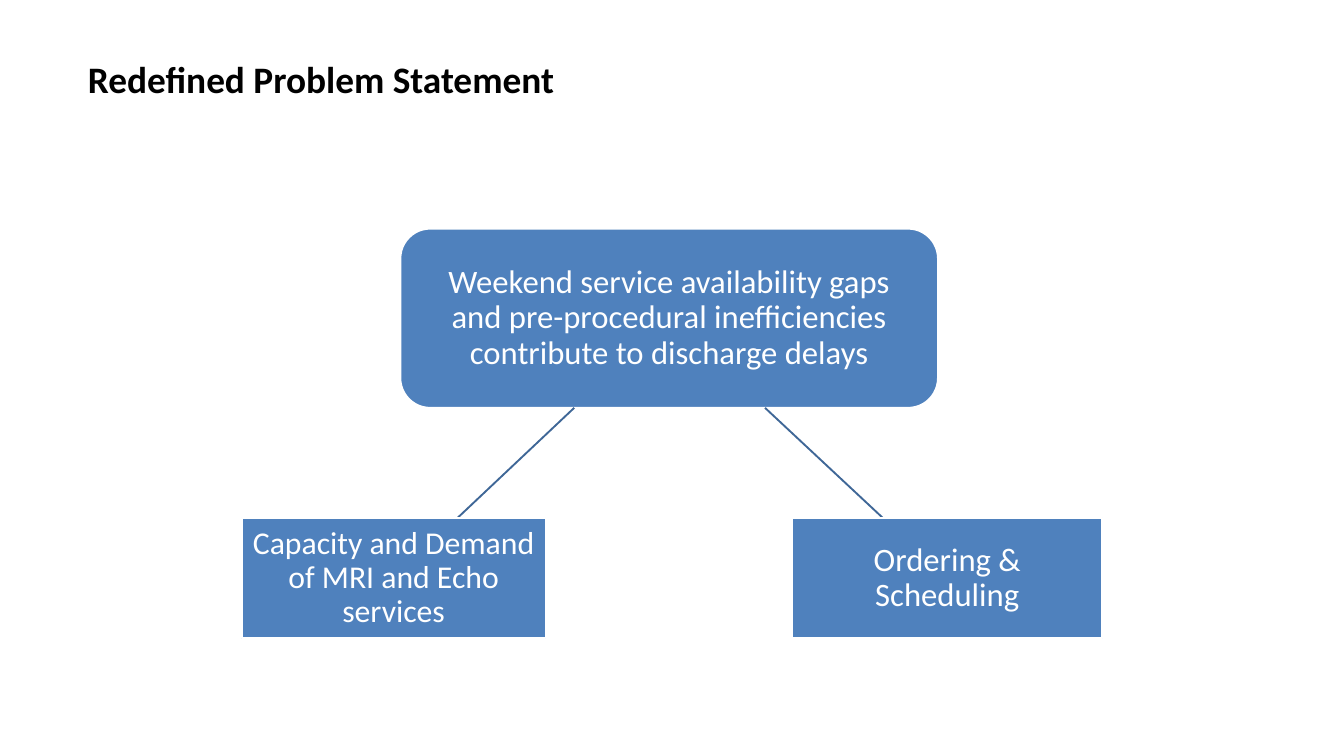
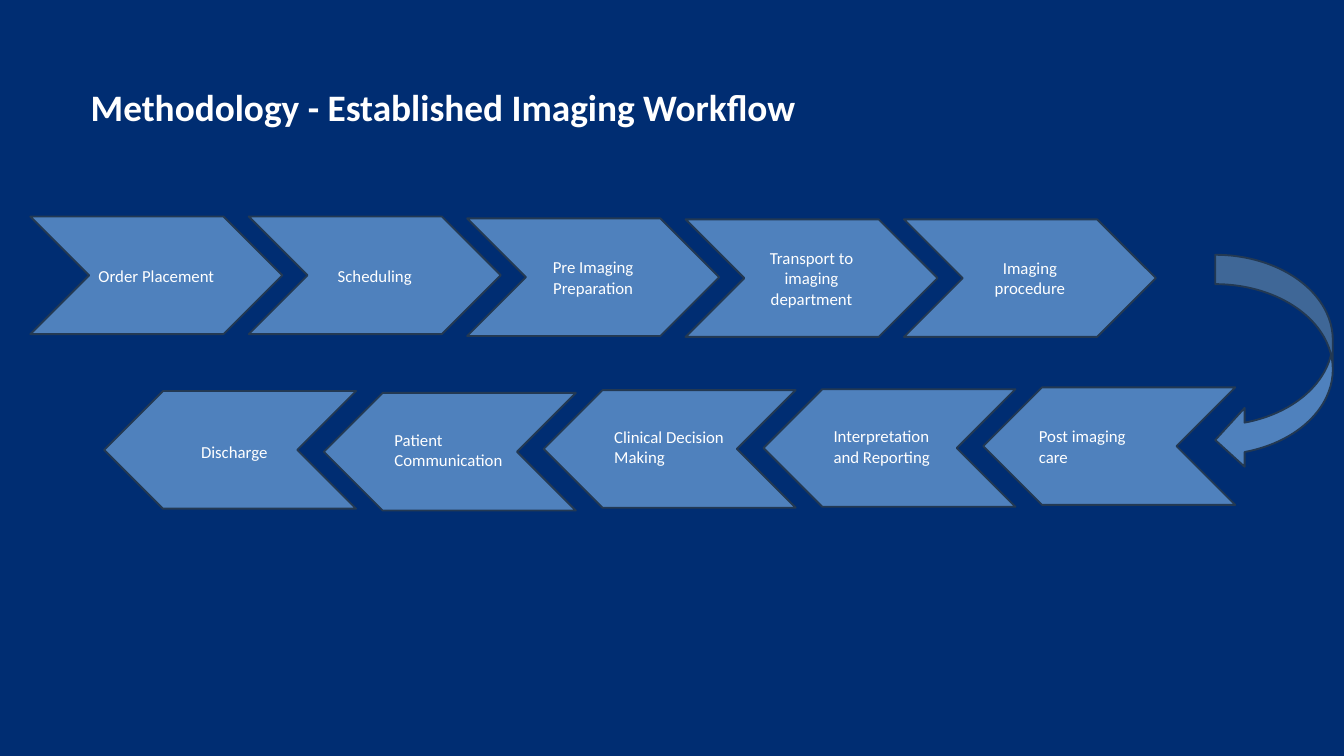
import lxml.etree
import pptx
import pptx.dml.color
import pptx.enum.shapes
import pptx.enum.text
import pptx.oxml.ns
import pptx.util

Pt = pptx.util.Pt
SHAPE = pptx.enum.shapes.MSO_SHAPE
ALIGN = pptx.enum.text.PP_ALIGN
ANCHOR = pptx.enum.text.MSO_ANCHOR

FONT = "Calibri"
WHITE, BLACK, NAVY = "FFFFFF", "000000", "002D72"
BLUE, LINK, OUTLINE = "4F81BD", "3F6797", "233953"

PROBLEM = {
    "title": "Redefined Problem Statement",
    "root": ("Weekend service availability gaps and pre-procedural inefficiencies "
             "contribute to discharge delays", (429, 245, 576, 192), 35, 16.5),
    "causes": [
        ("Capacity and Demand of MRI and Echo services", (259, 555, 325.5, 129), 34, 6.5),
        ("Ordering & Scheduling", (849, 555, 332, 129), 35, 7.2),
    ],
}
WORKFLOW = {
    "title": "Methodology - Established Imaging Workflow",
    "outward": [
        ("Order Placement", 232),
        ("Scheduling", 232),
        ("Pre Imaging Preparation", 234),
        ("Transport to imaging department", 235),
        ("Imaging procedure", 235),
    ],
    "return": [
        ("Discharge", 419, 70.5, 50.5, ALIGN.CENTER),
        ("Patient Communication", 421, 68.5, 36, ALIGN.LEFT),
        ("Clinical Decision Making", 418, 68.5, 36, ALIGN.LEFT),
        ("Interpretation and Reporting", 417, 68, 36, ALIGN.LEFT),
        ("Post imaging care", 415, 52.5, 38, ALIGN.LEFT),
    ],
}
STEP_W, STEP_H = 270, 126
OUT_LEFT, OUT_PITCH = 32.5, 234
BACK_LEFT, BACK_PITCH = 111.5, 235.5
TURN = (1302, 273, 126, 230)


def color(value):
    """Return the RGB colour of a hex string."""
    return pptx.dml.color.RGBColor.from_string(value)


def write(sp, text, size=18, fill=WHITE, bold=False, align=ALIGN.CENTER,
          anchor=ANCHOR.MIDDLE, spacing=1.0, inset=(7.2, 3.6)):
    """Put formatted text in a shape."""
    tf = sp.text_frame
    tf.word_wrap = True
    tf.auto_size = pptx.enum.text.MSO_AUTO_SIZE.NONE
    tf.vertical_anchor = anchor
    tf.margin_left = tf.margin_right = Pt(inset[0])
    tf.margin_top = tf.margin_bottom = Pt(inset[1])
    p = tf.paragraphs[0]
    p.alignment = align
    p.line_spacing = spacing
    r = p.add_run()
    r.text = text
    r.font.name = FONT
    r.font.size = Pt(size)
    r.font.bold = bold
    r.font.color.rgb = color(fill)


def add_slide(prs, title, left, top, background, ink):
    """Add a slide with its background and title."""
    s = prs.slides.add_slide(prs.slide_layouts[5])
    s.background.fill.solid()
    s.background.fill.fore_color.rgb = color(background)
    sp = s.shapes.title
    sp.left, sp.top, sp.width, sp.height = map(Pt, (left, top, 1290, 55.5))
    write(sp, title, size=40, fill=ink, bold=True, align=ALIGN.LEFT, anchor=ANCHOR.TOP)
    return s


def add_block(s, kind, box, line):
    """Add a blue shape with a two-point outline."""
    sp = s.shapes.add_shape(kind, *map(Pt, box))
    sp.shadow.inherit = False
    sp.fill.solid()
    sp.fill.fore_color.rgb = color(BLUE)
    sp.line.color.rgb = color(line)
    sp.line.width = Pt(2)
    return sp


def add_link(s, parent, child):
    """Draw the part of the centre-to-centre line between two boxes."""
    (x1, y1), (x2, y2) = [(x + w / 2, y + h / 2) for x, y, w, h in (parent, child)]
    start, end = parent[1] + parent[3], child[1]
    ends = [(x1 + (x2 - x1) * (y - y1) / (y2 - y1), y) for y in (start, end)]
    link = s.shapes.add_connector(pptx.enum.shapes.MSO_CONNECTOR.STRAIGHT,
                                  *(Pt(v) for point in ends for v in point))
    link.line.color.rgb = color(LINK)
    link.line.width = Pt(2)
    lxml.etree.SubElement(link._element.spPr, pptx.oxml.ns.qn("a:effectLst"))


def add_box(s, kind, text, box, size, inset):
    """Add a box of the problem tree."""
    sp = add_block(s, kind, box, WHITE)
    write(sp, text, size=size, spacing=0.9, inset=(inset, inset))


def build_problem(prs):
    """Build the problem tree slide."""
    s = add_slide(prs, PROBLEM["title"], 87, 57, WHITE, BLACK)
    root = PROBLEM["root"]
    add_box(s, SHAPE.ROUNDED_RECTANGLE, *root)
    for cause in PROBLEM["causes"]:
        add_link(s, root[1], cause[1])
        add_box(s, SHAPE.RECTANGLE, *cause)


def build_workflow(prs):
    """Build the workflow slide with its outward and return rows."""
    s = add_slide(prs, WORKFLOW["title"], 90, 87, NAVY, WHITE)
    for i, (text, top) in enumerate(WORKFLOW["outward"]):
        box = (OUT_LEFT + i * OUT_PITCH, top, STEP_W, STEP_H)
        write(add_block(s, SHAPE.CHEVRON, box, OUTLINE), text)
    for i, (text, top, dx, dy, align) in enumerate(WORKFLOW["return"]):
        left = BACK_LEFT + i * BACK_PITCH
        add_block(s, SHAPE.CHEVRON, (left, top, STEP_W, STEP_H), OUTLINE).rotation = 180
        label = s.shapes.add_textbox(*map(Pt, (left + dx, top + dy, 138, 51)))
        write(label, text, align=align, anchor=ANCHOR.TOP)
    add_block(s, SHAPE.CURVED_LEFT_ARROW, TURN, OUTLINE)


def main():
    """Build and save the presentation."""
    prs = pptx.Presentation()
    prs.slide_width, prs.slide_height = Pt(1440), Pt(810)
    build_problem(prs)
    build_workflow(prs)
    prs.save("out.pptx")


if __name__ == "__main__":
    main()
